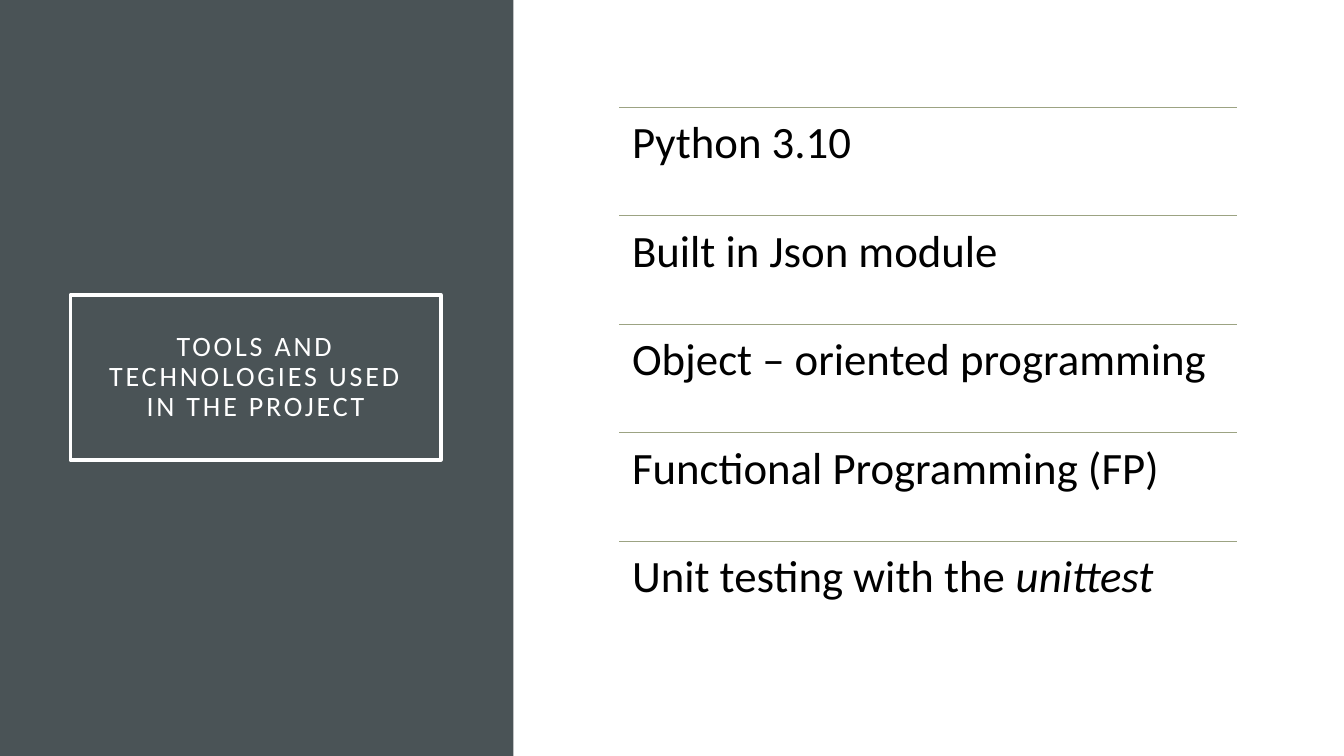
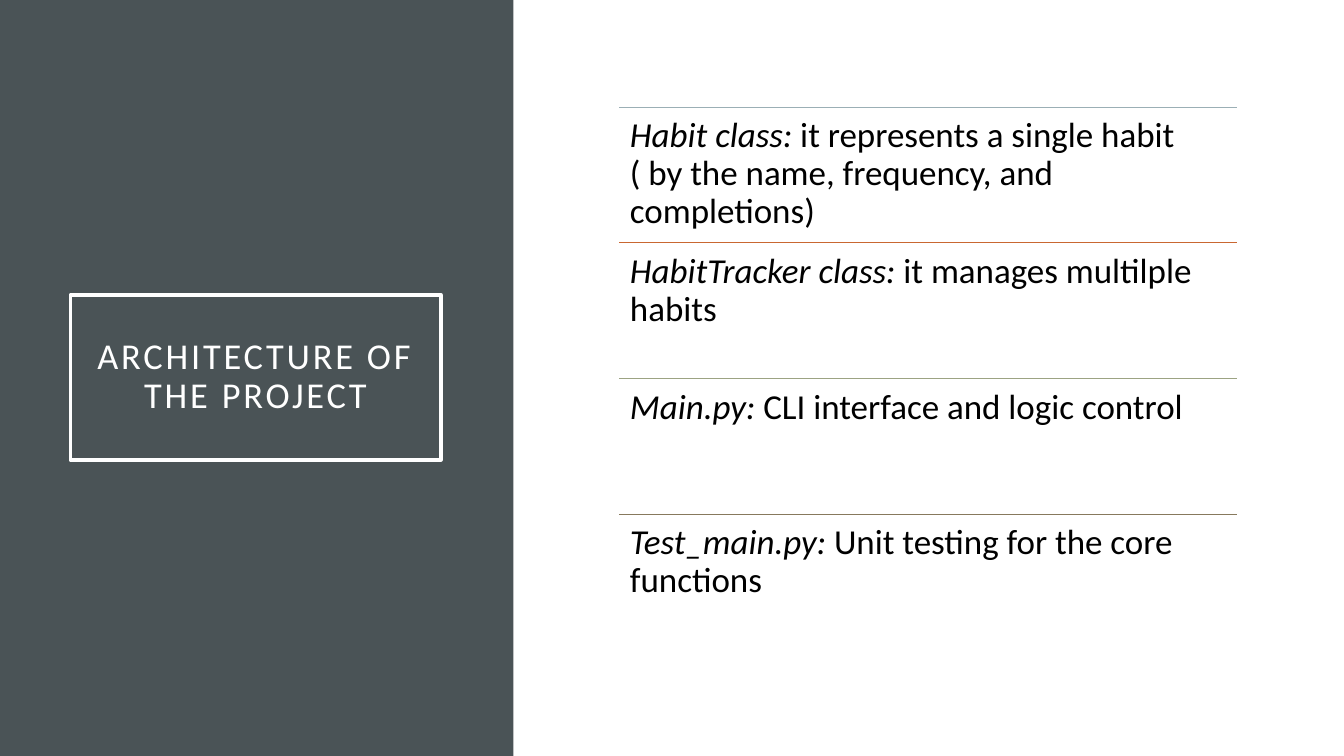
from lxml.etree import SubElement
from pptx import Presentation
from pptx.dml.color import RGBColor
from pptx.enum.shapes import MSO_CONNECTOR, MSO_SHAPE
from pptx.enum.text import MSO_ANCHOR, PP_ALIGN
from pptx.oxml.ns import qn
from pptx.util import Emu, Pt

# Content: each row is a list of (text, italic) runs
SAGE = RGBColor(0x9C, 0xA3, 0x83)
MIST = RGBColor(0x9B, 0xAF, 0xB5)
RUST = RGBColor(0xC9, 0x67, 0x31)
EARTH = RGBColor(0x87, 0x79, 0x5D)

SLIDES = [
    {
        "title": "TOOLS AND TECHNOLOGIES USED IN THE PROJECT",
        "title_size": 20,
        "text_size": 32,
        "inset": 12,
        "rules": [SAGE] * 5,
        "rows": [
            [("Python 3.10", False)],
            [("Built in Json module", False)],
            [("Object – oriented programming", False)],
            [("Functional Programming (FP)", False)],
            [("Unit testing with the ", False), ("unittest", True)],
        ],
    },
    {
        "title": "ARCHITECTURE OF THE PROJECT",
        "title_size": 26,
        "text_size": 25,
        "inset": 10,
        "rules": [MIST, RUST, SAGE, EARTH],
        "rows": [
            [("Habit class: ", True),
             ("it represents a single habit ( by the name, frequency, and completions)", False)],
            [("HabitTracker class: ", True), ("it manages multilple habits", False)],
            [("Main.py: ", True), ("CLI interface and logic control", False)],
            [("Test_main.py: ", True), ("Unit testing for the core functions", False)],
        ],
    },
]

# Shared style, lengths in px
FONT = "Calibri"
SLATE = RGBColor(0x4A, 0x53, 0x56)
WHITE = RGBColor(0xFF, 0xFF, 0xFF)
BLACK = RGBColor(0x00, 0x00, 0x00)
SLIDE_WIDTH, SLIDE_HEIGHT = 1280, 720
PANEL = (0, 0, 489, SLIDE_HEIGHT)
TITLE_BOX = (67, 281, 353, 157)
TITLE_INSET = 19
LIST_LEFT, LIST_TOP, LIST_WIDTH, LIST_HEIGHT = 590, 102, 588, 517


def px(length):
    return Emu(round(length * 9525))


def add_rectangle(slide, box):
    shape = slide.shapes.add_shape(MSO_SHAPE.RECTANGLE, *map(px, box))
    shape.shadow.inherit = False
    return shape


def prepare_frame(shape, inset, anchor):
    frame = shape.text_frame
    frame.word_wrap = True
    frame.vertical_anchor = anchor
    frame.margin_left = frame.margin_right = px(inset)
    frame.margin_top = frame.margin_bottom = px(inset)
    paragraph = frame.paragraphs[0]
    paragraph.line_spacing = 0.9
    return paragraph


def add_run(paragraph, text, size, color, italic=False):
    run = paragraph.add_run()
    run.text = text
    run.font.name = FONT
    run.font.size = Pt(size)
    run.font.color.rgb = color
    run.font.italic = italic
    return run


def add_title_panel(slide, title, size):
    panel = add_rectangle(slide, PANEL)
    panel.fill.solid()
    panel.fill.fore_color.rgb = SLATE
    panel.line.fill.background()

    frame = add_rectangle(slide, TITLE_BOX)
    frame.fill.background()
    frame.line.color.rgb = WHITE
    frame.line.width = Pt(2.5)
    paragraph = prepare_frame(frame, TITLE_INSET, MSO_ANCHOR.MIDDLE)
    paragraph.alignment = PP_ALIGN.CENTER
    run = add_run(paragraph, title, size, WHITE)
    run.font._element.set("spc", "200")  # letter spacing of 2 pt


def add_rule(slide, top, color):
    rule = slide.shapes.add_connector(
        MSO_CONNECTOR.STRAIGHT, px(LIST_LEFT), px(top), px(LIST_LEFT + LIST_WIDTH), px(top))
    rule.line.color.rgb = color
    rule.line.width = Pt(0.5)
    SubElement(rule._element.spPr, qn("a:effectLst"))


def add_ruled_list(slide, content):
    row_height = LIST_HEIGHT / len(content["rows"])
    for index, (runs, color) in enumerate(zip(content["rows"], content["rules"])):
        top = LIST_TOP + index * row_height
        add_rule(slide, top, color)
        box = slide.shapes.add_textbox(px(LIST_LEFT), px(top), px(LIST_WIDTH), px(row_height))
        paragraph = prepare_frame(box, content["inset"], MSO_ANCHOR.TOP)
        for text, italic in runs:
            add_run(paragraph, text, content["text_size"], BLACK, italic)


def main():
    presentation = Presentation()
    presentation.slide_width = px(SLIDE_WIDTH)
    presentation.slide_height = px(SLIDE_HEIGHT)
    blank_layout = presentation.slide_layouts[6]
    for content in SLIDES:
        slide = presentation.slides.add_slide(blank_layout)
        add_title_panel(slide, content["title"], content["title_size"])
        add_ruled_list(slide, content)
    presentation.save("out.pptx")


if __name__ == "__main__":
    main()
